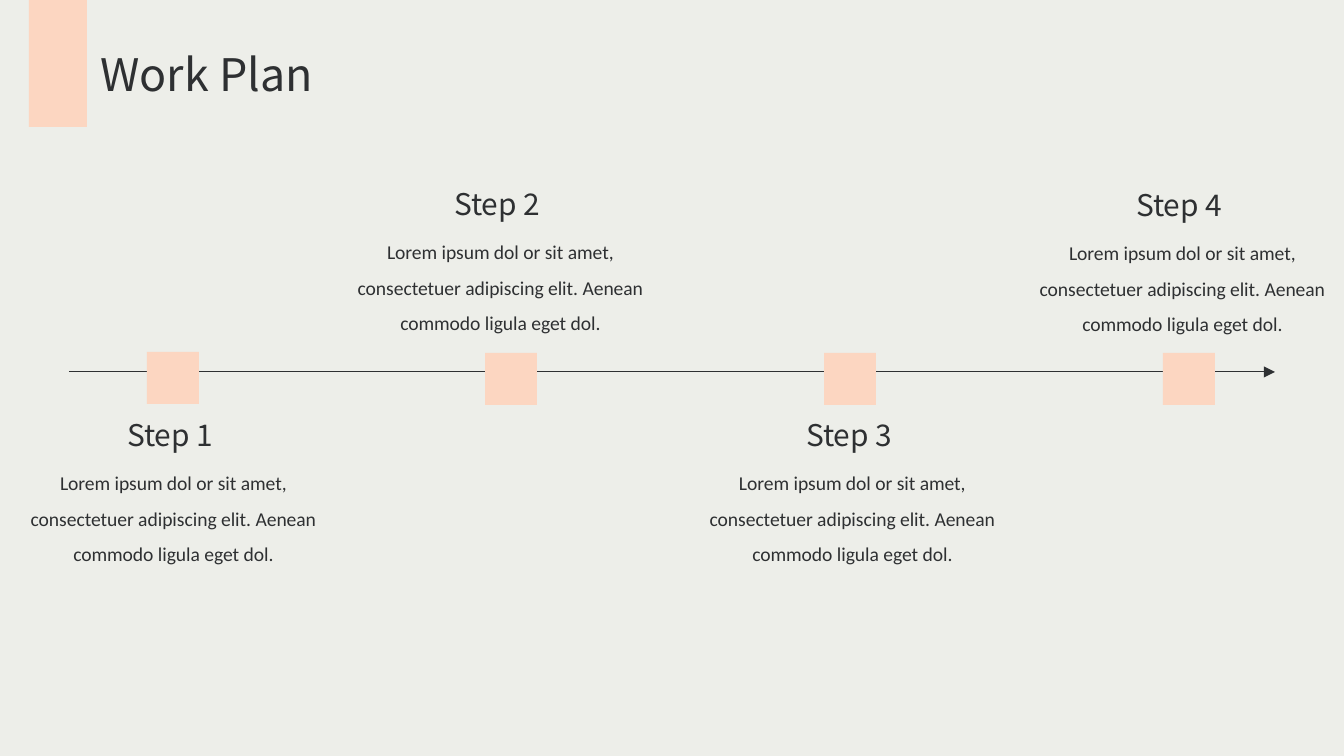
from dataclasses import dataclass

from lxml import etree
from pptx import Presentation
from pptx.dml.color import RGBColor
from pptx.enum.shapes import MSO_CONNECTOR, MSO_SHAPE
from pptx.enum.text import MSO_ANCHOR, MSO_AUTO_SIZE, PP_ALIGN
from pptx.oxml.ns import qn
from pptx.slide import Slide
from pptx.util import Emu, Pt

STRAIGHT = MSO_CONNECTOR.STRAIGHT
RECTANGLE = MSO_SHAPE.RECTANGLE
TOP = MSO_ANCHOR.TOP
FIT_SHAPE = MSO_AUTO_SIZE.SHAPE_TO_FIT_TEXT
LEFT, CENTER = PP_ALIGN.LEFT, PP_ALIGN.CENTER

PAPER = RGBColor(0xED, 0xEE, 0xE9)
PEACH = RGBColor(0xFC, 0xD6, 0xC1)
INK = RGBColor(0x2E, 0x30, 0x32)

HEADING_FONT = "Noto Sans CJK SC"
TITLE = {"font": {"name": HEADING_FONT, "size": Pt(24)},
         "paragraph": {"alignment": LEFT}, "wrap": False}
HEADING = {"font": {"name": HEADING_FONT, "size": Pt(16)},
           "paragraph": {"alignment": LEFT}, "wrap": False}
BODY = {"font": {"name": "Calibri", "size": Pt(10.5)},
        "paragraph": {"alignment": CENTER, "line_spacing": 1.5}, "wrap": True}

DESCRIPTION = ("Lorem ipsum dol or sit amet, consectetuer adipiscing elit. "
               "Aenean commodo ligula eget dol.")
STEPS = [(8, 453, 352), (335, 222, 353), (687, 453, 353), (1017, 223, 353)]
MARKER_LEFT, MARKER_SPAN, MARKER_SIZE = 147, 1016, 52


def px(*lengths):
    """Turn whole pixels into EMU."""
    return [Emu(round(length * 914400 / 134.4)) for length in lengths]


@dataclass
class Painter:
    """Draws styled elements on the current slide."""

    slide: Slide
    fill: RGBColor = PEACH
    ink: RGBColor = INK

    def set_text(self, box, text, style):
        """Put formatted text into a box."""
        frame = box.text_frame
        frame.word_wrap = style["wrap"]
        frame.auto_size = FIT_SHAPE
        frame.vertical_anchor = TOP
        para = frame.paragraphs[0]
        for name, value in style["paragraph"].items():
            setattr(para, name, value)
        span = para.add_run()
        span.text = text
        for name, value in style["font"].items():
            setattr(span.font, name, value)
        span.font.color.rgb = self.ink

    def title(self, text, *place):
        """Move and fill the title placeholder."""
        box = self.slide.shapes.title
        box.left, box.top, box.width, box.height = px(*place)
        self.set_text(box, text, TITLE)

    def text(self, text, style, *place):
        """Add a text box."""
        self.set_text(self.slide.shapes.add_textbox(*px(*place)), text, style)

    def block(self, *place):
        """Add a plain filled rectangle."""
        box = self.slide.shapes.add_shape(RECTANGLE, *px(*place))
        box.shadow.inherit = False
        box.fill.solid()
        box.fill.fore_color.rgb = self.fill
        box.line.fill.background()

    def arrow(self, *ends):
        """Add a thin line with a triangular head."""
        connector = self.slide.shapes.add_connector(STRAIGHT, *px(*ends))
        connector.line.width = Pt(0.5)
        connector.line.color.rgb = self.ink
        properties = connector.element.spPr
        outline = properties.find(qn("a:ln"))
        etree.SubElement(outline, qn("a:tailEnd"), type="triangle")
        etree.SubElement(properties, qn("a:effectLst"))


def main():
    """Build the work plan slide."""
    deck = Presentation()
    deck.slide_width, deck.slide_height = px(1344, 756)
    page = deck.slides.add_slide(deck.slide_layouts[5])
    page.background.fill.solid()
    page.background.fill.fore_color.rgb = PAPER

    painter = Painter(page)
    painter.block(29, 0, 58, 127)
    painter.title("Work Plan", 87, 40, 242, 67)
    painter.arrow(69, 372, 1275, 372)
    for index, (left, top, marker_top) in enumerate(STEPS):
        marker_left = MARKER_LEFT + index * MARKER_SPAN // (len(STEPS) - 1)
        painter.block(marker_left, marker_top, MARKER_SIZE, MARKER_SIZE)
        painter.text(DESCRIPTION, BODY, left, top, 331, 117)
        painter.text(f"Step {index + 1}", HEADING, left + 106, top - 43, 117, 50)
    deck.save("out.pptx")


if __name__ == "__main__":
    main()
